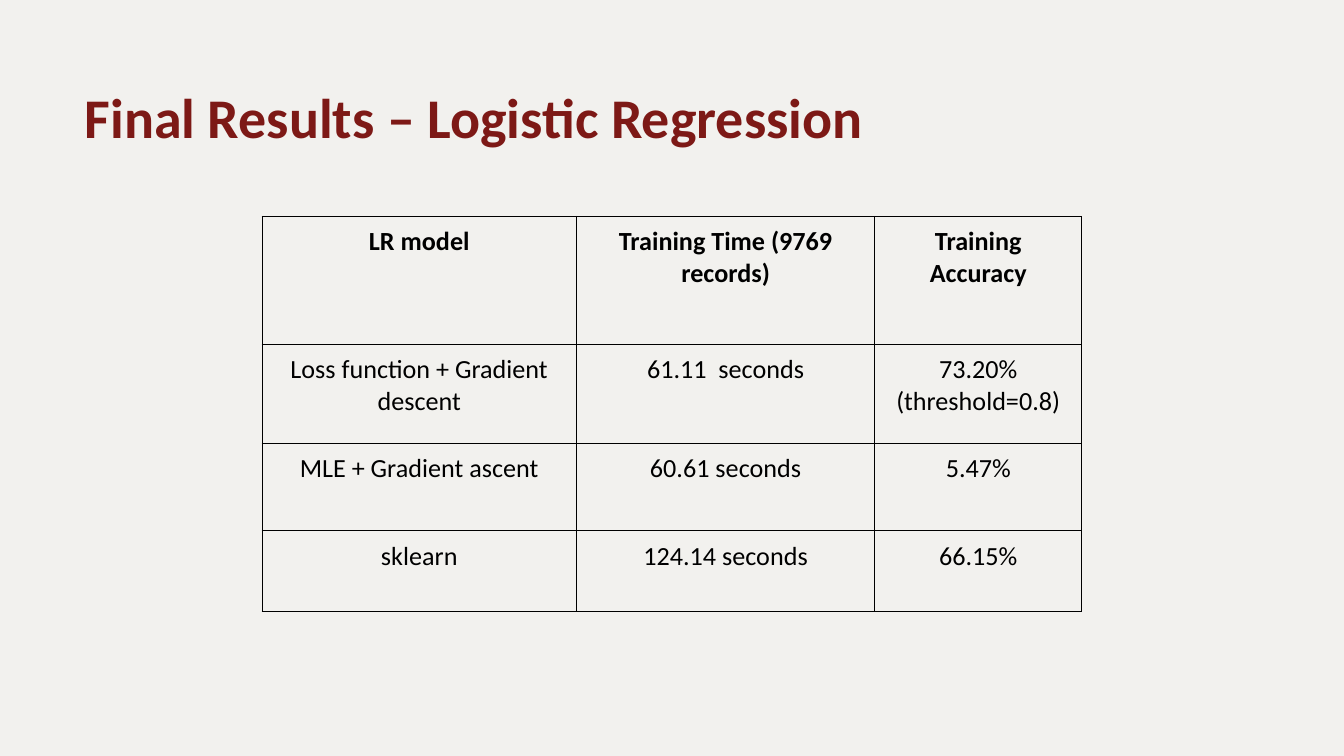
from lxml import etree
from pptx import Presentation
from pptx.dml.color import RGBColor
from pptx.enum import text
from pptx.oxml import ns
from pptx.util import Inches, Pt

COLORS = {"background": "F2F1EE", "title": "7D1916", "ink": "000000"}


def write_text(frame, content, size, color="ink", bold=False, align=text.PP_ALIGN.LEFT,
               spacing=1.0, anchor=text.MSO_ANCHOR.TOP):
    frame.word_wrap = True
    frame.vertical_anchor = anchor
    for index, line in enumerate(content.split("\n")):
        paragraph = frame.add_paragraph() if index else frame.paragraphs[0]
        paragraph.alignment = align
        paragraph.line_spacing = spacing
        run = paragraph.add_run()
        run.text = line
        run.font.name = "Calibri"
        run.font.size = Pt(size)
        run.font.bold = bold
        run.font.color.rgb = RGBColor.from_string(COLORS[color])


def add_borders(cell, color, width):
    properties = cell._tc.get_or_add_tcPr()
    for position, side in enumerate(("lnL", "lnR", "lnT", "lnB")):
        line = etree.Element(ns.qn(f"a:{side}"), w=str(Pt(width)))
        fill = etree.SubElement(line, ns.qn("a:solidFill"))
        etree.SubElement(fill, ns.qn("a:srgbClr"), val=COLORS[color])
        properties.insert(position, line)


presentation = Presentation()
presentation.slide_width = Inches(10)
presentation.slide_height = Inches(10 * 9 / 16)
slide = presentation.slides.add_slide(presentation.slide_layouts[6])
slide.background.fill.solid()
slide.background.fill.fore_color.rgb = RGBColor.from_string(COLORS["background"])

title = slide.shapes.add_textbox(Inches(0.55), Inches(0.35), Inches(8.19), Inches(0.81))
title.text_frame.margin_left = title.text_frame.margin_right = Inches(0.08)
title.text_frame.margin_top = title.text_frame.margin_bottom = Inches(0.04)
write_text(title.text_frame, "Final Results – Logistic Regression", size=30, color="title",
           bold=True, spacing=0.9, anchor=text.MSO_ANCHOR.BOTTOM)

results = [
    ["LR model", "Training Time (9769 records)", "Training Accuracy"],
    ["Loss function + Gradient descent", "61.11  seconds", "73.20%\n(threshold=0.8)"],
    ["MLE + Gradient ascent", "60.61 seconds", "5.47%"],
    ["sklearn", "124.14 seconds", "66.15%"],
]
column_widths = [2.34, 2.22, 1.54]
row_heights = [0.95, 0.74, 0.65, 0.6]

table = slide.shapes.add_table(len(results), len(column_widths), Inches(1.95), Inches(1.61),
                               Inches(sum(column_widths)), Inches(sum(row_heights))).table
table.first_row = False
table.horz_banding = False
for column, width in zip(table.columns, column_widths):
    column.width = Inches(width)

for row_index, (row, height) in enumerate(zip(table.rows, row_heights)):
    row.height = Inches(height)
    for cell, content in zip(row.cells, results[row_index]):
        cell.fill.background()
        cell.margin_left = cell.margin_right = Inches(0.07)
        cell.margin_top = cell.margin_bottom = Inches(0.07)
        write_text(cell.text_frame, content, size=14, bold=row_index == 0,
                   align=text.PP_ALIGN.CENTER)
        add_borders(cell, "ink", width=0.6)

presentation.save("out.pptx")
